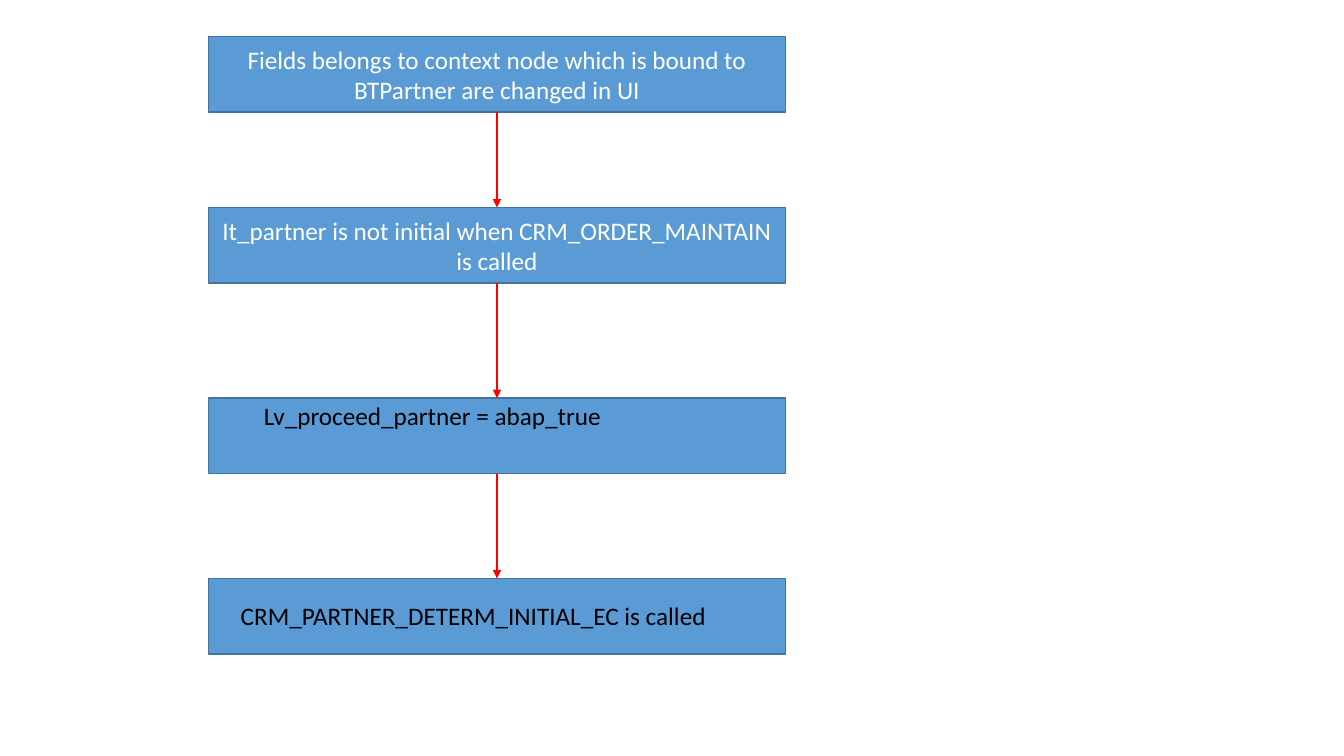
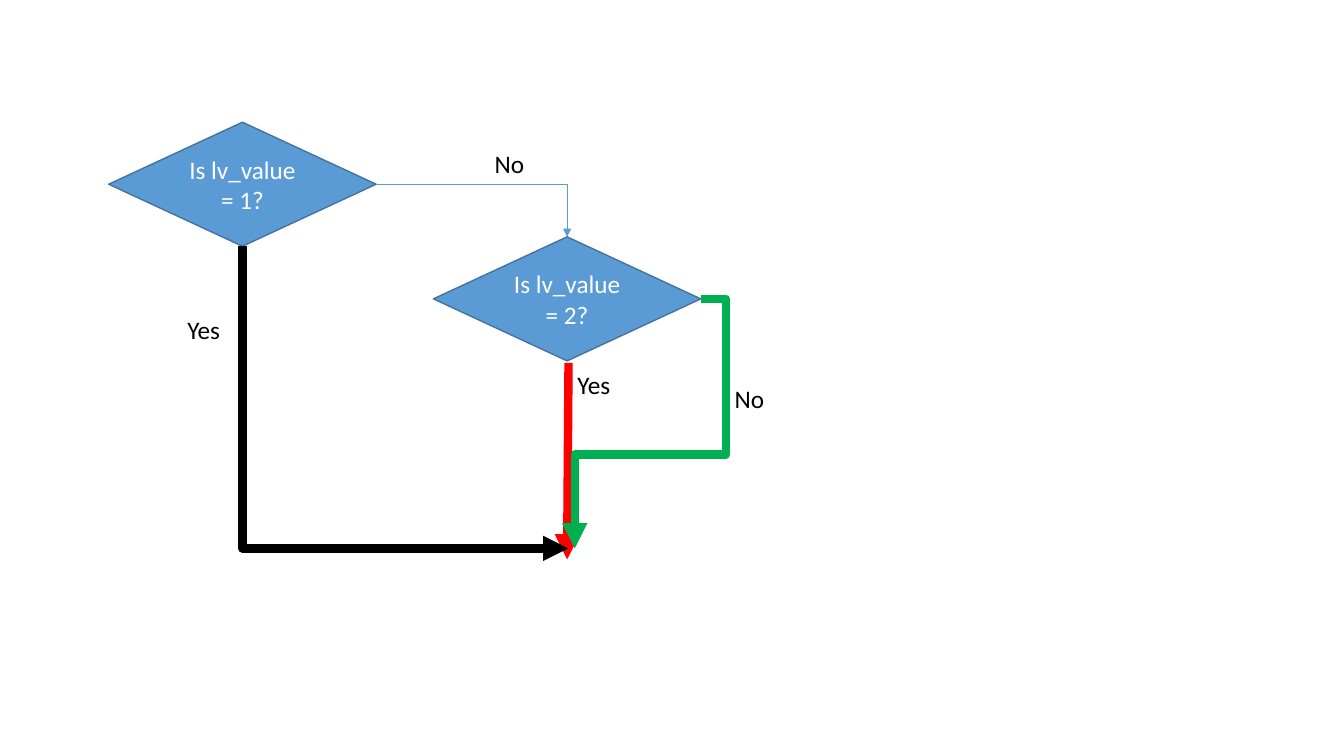
from dataclasses import dataclass
from itertools import pairwise

from lxml.etree import SubElement as Sub
from pptx import Presentation
from pptx.dml.color import RGBColor as RGB
from pptx.enum.shapes import MSO_CONNECTOR as Conn, MSO_SHAPE as Kind
from pptx.enum.text import MSO_ANCHOR as Anchor, MSO_AUTO_SIZE as Auto, PP_ALIGN as Align
from pptx.oxml.ns import qn
from pptx.util import Pt


@dataclass(frozen=True)
class Theme:
    blue: RGB = RGB(0x5B, 0x9B, 0xD5)
    edge: RGB = RGB(0x43, 0x73, 0x9E)
    red: RGB = RGB(0xFF, 0, 0)
    green: RGB = RGB(0, 0xB0, 0x50)
    black: RGB = RGB(0, 0, 0)
    white: RGB = RGB(0xFF, 0xFF, 0xFF)
    font: str = "Calibri"
    size: int = 18
    thin: float = 0.5
    rim: float = 1
    mid: float = 2
    bold: float = 6


T = Theme()


def put(obj, vals):
    for key, val in vals.items():
        setattr(obj, key, val)


def write(frame, text, ink, align, vals):
    put(frame, {"word_wrap": True, **vals})
    para = frame.paragraphs[0]
    para.alignment = align
    run = para.add_run()
    run.text = text
    put(run.font, {"name": T.font, "size": Pt(T.size)})
    run.font.color.rgb = ink


def label(slide, text, x, y, w):
    box = slide.shapes.add_textbox(Pt(x), Pt(y), Pt(w), Pt(29))
    write(box.text_frame, text, T.black, Align.LEFT,
          {"auto_size": Auto.SHAPE_TO_FIT_TEXT})


def node(slide, kind, x, y, w, h, text=""):
    shape = slide.shapes.add_shape(kind, Pt(x), Pt(y), Pt(w), Pt(h))
    shape.shadow.inherit = False
    shape.fill.solid()
    shape.fill.fore_color.rgb = T.blue
    shape.line.color.rgb = T.edge
    shape.line.width = Pt(T.rim)
    if text:
        write(shape.text_frame, text, T.white, Align.CENTER,
              {"vertical_anchor": Anchor.MIDDLE})
    return shape


def arrow(slide, kind, start, end, ink, width):
    line = slide.shapes.add_connector(kind, *map(Pt, start + end))
    line.line.color.rgb = ink
    line.line.width = Pt(width)
    prop = line._element.spPr
    Sub(prop.find(qn("a:ln")), qn("a:tailEnd"), type="triangle")
    Sub(prop, qn("a:effectLst"))
    return line


def elbow(slide, start, end, ink, width, bends=1, down=False, adj=()):
    """Draw a bent arrow; down makes its first leg vertical."""
    if down:
        # Swap the box sides about its centre, then turn it by 270 degrees
        (x1, y1), (x2, y2) = start, end
        mx, my = (x1 + x2) / 2, (y1 + y2) / 2
        dx, dy = (x2 - x1) / 2, (y2 - y1) / 2
        start, end = (mx + dy, my - dx), (mx - dy, my + dx)
    line = arrow(slide, Conn.ELBOW, start, end, ink, width)
    prop = line._element.spPr
    if down:
        prop.find(qn("a:xfrm")).set("rot", str(270 * 60000))
    geom = prop.find(qn("a:prstGeom"))
    geom.set("prst", f"bentConnector{bends + 1}")
    guides = geom.find(qn("a:avLst"))
    for num, part in enumerate(adj, 1):
        Sub(guides, qn("a:gd"), name=f"adj{num}", fmla=f"val {round(part * 100000)}")


def steps(slide):
    # Steps from top to bottom
    x, w, h = 149, 412, 54
    rows = [
        (26, "Fields belongs to context node which is bound to BTPartner are changed in UI"),
        (148.2, "It_partner is not initial when CRM_ORDER_MAINTAIN is called"),
        (284.4, ""),
        (413.2, ""),
    ]
    boxes = [node(slide, Kind.RECTANGLE, x, y, w, h, text) for y, text in rows]
    label(slide, "Lv_proceed_partner = abap_true", 181.4, 282.2, 379.4)
    label(slide, "CRM_PARTNER_DETERM_INITIAL_EC is called", 164.9, 425.5, 379.4)

    # Arrows between neighbours
    for top, low in pairwise(boxes):
        line = arrow(slide, Conn.STRAIGHT, (0, 0), (0, 0), T.red, T.mid)
        line.begin_connect(top, 2)
        line.end_connect(low, 0)


def choice(slide):
    # Decisions
    w, h = 191, 88.6
    x1, y1, x2, y2 = 77.7, 87.3, 309.6, 169.2
    node(slide, Kind.FLOWCHART_DECISION, x1, y1, w, h, "Is lv_value = 1?")
    node(slide, Kind.FLOWCHART_DECISION, x2, y2, w, h, "Is lv_value = 2?")

    # Branches
    mid, base = x2 + w / 2, 391.7
    elbow(slide, (x1 + w, y1 + h / 2), (mid, y2), T.blue, T.thin)
    arrow(slide, Conn.STRAIGHT, (mid + 1, 259.2), (mid, 399.6), T.red, T.bold)
    elbow(slide, (x2 + w, y2 + h / 2), (410.6, base), T.green, T.bold,
          bends=3, adj=(-0.2, 0.624))
    elbow(slide, (x1 + w / 2, y1 + h), (mid + 1, base), T.black, T.bold, down=True)

    # Answers
    for text, x, y, wide in [
        ("Yes", 126.7, 221, 67.7),
        ("No", 346.3, 102.2, 71.3),
        ("Yes", 405.4, 260.6, 60.5),
        ("No", 517.7, 270, 57.6),
    ]:
        label(slide, text, x, y, wide)


def main():
    deck = Presentation()
    put(deck, {"slide_width": Pt(960), "slide_height": Pt(540)})
    for draw in (steps, choice):
        draw(deck.slides.add_slide(deck.slide_layouts[6]))
    deck.save("out.pptx")


if __name__ == "__main__":
    main()
